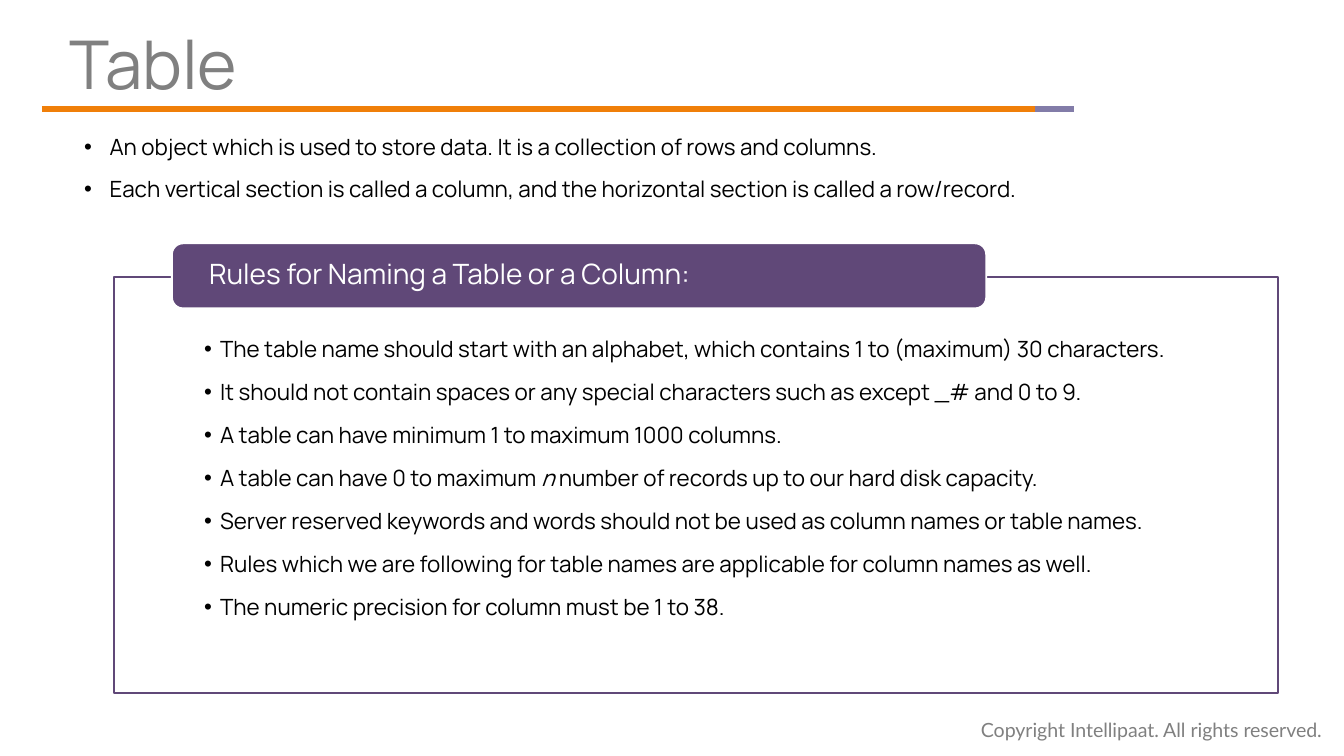
from dataclasses import dataclass

from lxml import etree
from pptx import Presentation
from pptx import util as u
from pptx.dml.color import RGBColor
from pptx.enum import shapes, text
from pptx.oxml.ns import qn


@dataclass(frozen=True)
class Theme:
    font: str = "Manrope"
    footer_font: str = "Lato"
    gray: RGBColor = RGBColor(0x80, 0x80, 0x80)
    black: RGBColor = RGBColor(0, 0, 0)
    white: RGBColor = RGBColor(255, 255, 255)
    orange: RGBColor = RGBColor(0xF0, 0x7F, 0x09)
    lavender: RGBColor = RGBColor(0x82, 0x7C, 0xA8)
    purple: RGBColor = RGBColor(0x60, 0x48, 0x78)
    title_size: u.Pt = u.Pt(36)
    heading_size: u.Pt = u.Pt(15)
    list_size: u.Pt = u.Pt(12)
    footer_size: u.Pt = u.Pt(10.5)


theme = Theme()


def set_frame(shape, margins, anchor=text.MSO_ANCHOR.TOP):
    frame = shape.text_frame
    frame.word_wrap = True
    frame.auto_size = text.MSO_AUTO_SIZE.NONE
    frame.vertical_anchor = anchor
    (frame.margin_left, frame.margin_top,
     frame.margin_right, frame.margin_bottom) = [u.Cm(m) for m in margins]
    return frame


def style(paragraph, size, color, font=theme.font, spacing=1.0, bullet_indent=None):
    paragraph.alignment = text.PP_ALIGN.LEFT
    paragraph.line_spacing = spacing
    paragraph.space_before = u.Pt(0)
    if bullet_indent:
        margin, hanging = bullet_indent
        properties = paragraph._p.get_or_add_pPr()
        properties.set("marL", str(u.Cm(margin)))
        properties.set("indent", str(-u.Cm(hanging)))
        etree.SubElement(properties, qn("a:buFont"), typeface="Arial")
        etree.SubElement(properties, qn("a:buChar"), char="•")
    paragraph.font.name = font
    paragraph.font.size = size
    paragraph.font.color.rgb = color


presentation = Presentation()
presentation.slide_width = u.Cm(25.4)
presentation.slide_height = u.Cm(14.29)
slide = presentation.slides.add_slide(presentation.slide_layouts[1])
title, intro = slide.placeholders

# Title
title.left, title.top, title.width, title.height = u.Cm(1.32), u.Cm(0.46), u.Cm(21.06), u.Cm(1.6)
frame = set_frame(title, (0, 0.13, 0.25, 0.13))
frame.text = "Table"
style(frame.paragraphs[0], theme.title_size, theme.gray, spacing=0.9)

# Two-colour rule under the title
for start, end, color in [(0.79, 19.56, theme.orange), (19.56, 20.29, theme.lavender)]:
    rule = slide.shapes.add_connector(
        shapes.MSO_CONNECTOR.STRAIGHT, u.Cm(start), u.Cm(2.06), u.Cm(end), u.Cm(2.06))
    rule.line.color.rgb = color
    rule.line.width = u.Pt(3)
    etree.SubElement(rule._element.spPr, qn("a:effectLst"))

# Definition list
intro.left, intro.top, intro.width, intro.height = u.Cm(1.32), u.Cm(2.13), u.Cm(23.01), u.Cm(1.73)
frame = set_frame(intro, (0.25, 0.13, 0.25, 0.13))
frame.text = "\n".join([
    "An object which is used to store data. It is a collection of rows and columns.",
    "Each vertical section is called a column, and the horizontal section is called a row/record.",
])
for paragraph in frame.paragraphs:
    style(paragraph, theme.list_size, theme.black, spacing=1.5, bullet_indent=(0.5, 0.48))
frame.paragraphs[1].space_before = u.Pt(1)

# Panel with the naming rules
panel = slide.shapes.add_shape(
    shapes.MSO_SHAPE.RECTANGLE, u.Cm(2.16), u.Cm(5.23), u.Cm(21.99), u.Cm(7.87))
panel.shadow.inherit = False
panel.fill.solid()
panel.fill.fore_color.rgb = theme.white
etree.SubElement(panel._element.spPr.find(".//" + qn("a:srgbClr")), qn("a:alpha"), val="90000")
panel.line.color.rgb = theme.purple
panel.line.width = u.Pt(1)
frame = set_frame(panel, (1.7, 0.86, 1.7, 0.3))

# Each rule is a list of runs; every second run is italic
rules = [
    ["The table name should start with an alphabet, which contains 1 to (maximum) 30 characters."],
    ["It should not contain spaces or any special characters such as except _# and 0 to 9."],
    ["A table can have minimum 1 to maximum 1000 columns."],
    ["A table can have 0 to maximum ", "n", " number of records up to our hard disk capacity."],
    ["Server reserved keywords and words should not be used as column names or table names."],
    ["Rules which we are following for table names are applicable for column names as well."],
    ["The numeric precision for column must be 1 to 38."],
]
for index, parts in enumerate(rules):
    paragraph = frame.add_paragraph() if index else frame.paragraphs[0]
    style(paragraph, theme.list_size, theme.black, spacing=1.5, bullet_indent=(0.3, 0.3))
    paragraph.space_after = u.Pt(1.4)
    for position, part in enumerate(parts):
        run = paragraph.add_run()
        run.text = part
        if position % 2:
            run.font.italic = True

# Panel heading
heading = slide.shapes.add_shape(
    shapes.MSO_SHAPE.ROUNDED_RECTANGLE, u.Cm(3.25), u.Cm(4.6), u.Cm(15.39), u.Cm(1.23))
heading.adjustments[0] = 0.17
heading.shadow.inherit = False
heading.fill.solid()
heading.fill.fore_color.rgb = theme.purple
heading.line.color.rgb = theme.white
heading.line.width = u.Pt(1)
frame = set_frame(heading, (0.64, 0.05, 0.64, 0.05), text.MSO_ANCHOR.MIDDLE)
frame.text = "Rules for Naming a Table or a Column:"
style(frame.paragraphs[0], theme.heading_size, theme.white, spacing=0.9)

# Copyright line
footer = slide.shapes.add_textbox(u.Cm(18.29), u.Cm(13.44), u.Cm(7.19), u.Cm(0.71))
frame = set_frame(footer, (0.25, 0.13, 0.25, 0.13))
frame.word_wrap = False
frame.text = "Copyright Intellipaat. All rights reserved."
style(frame.paragraphs[0], theme.footer_size, theme.gray, theme.footer_font)

presentation.save("out.pptx")
